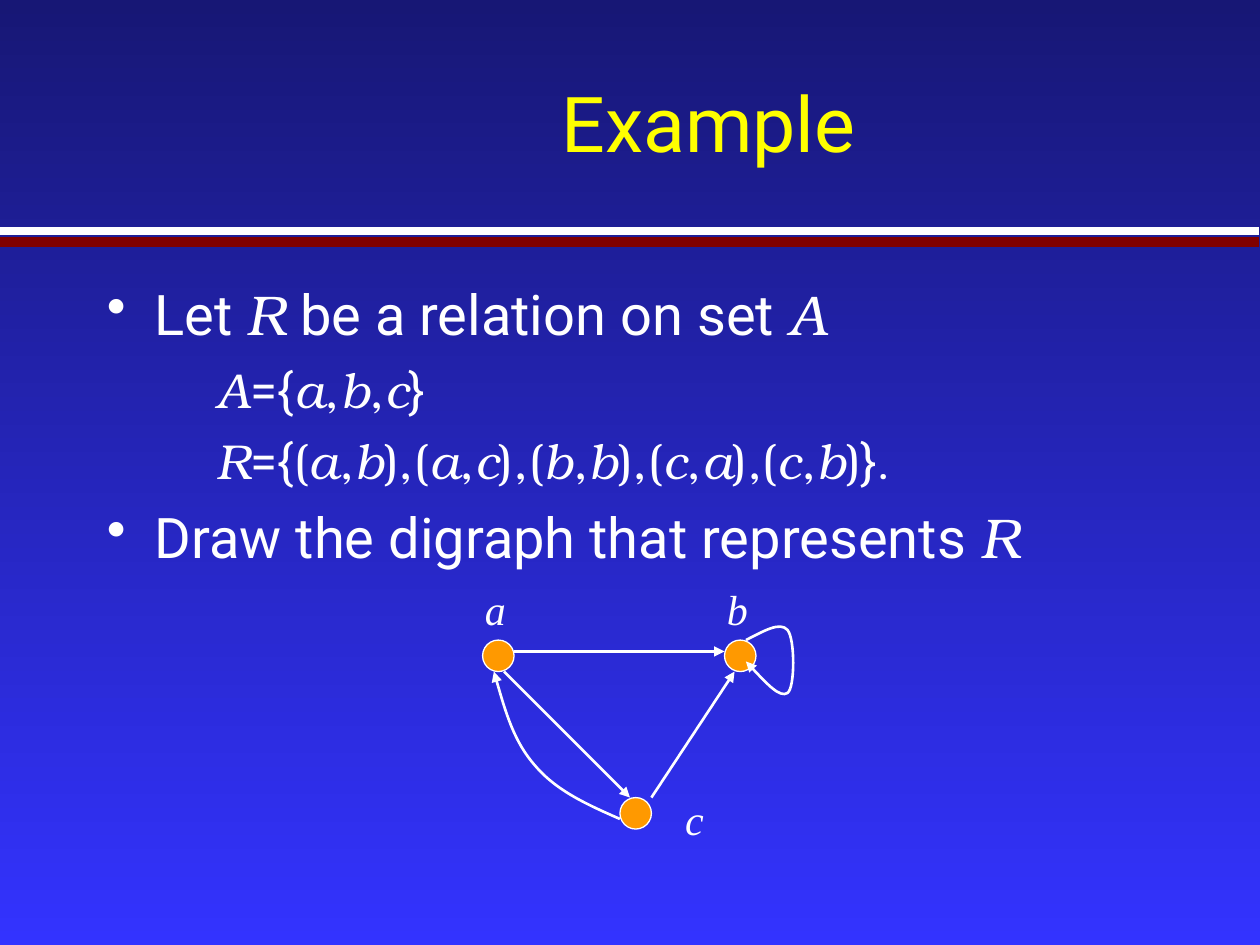
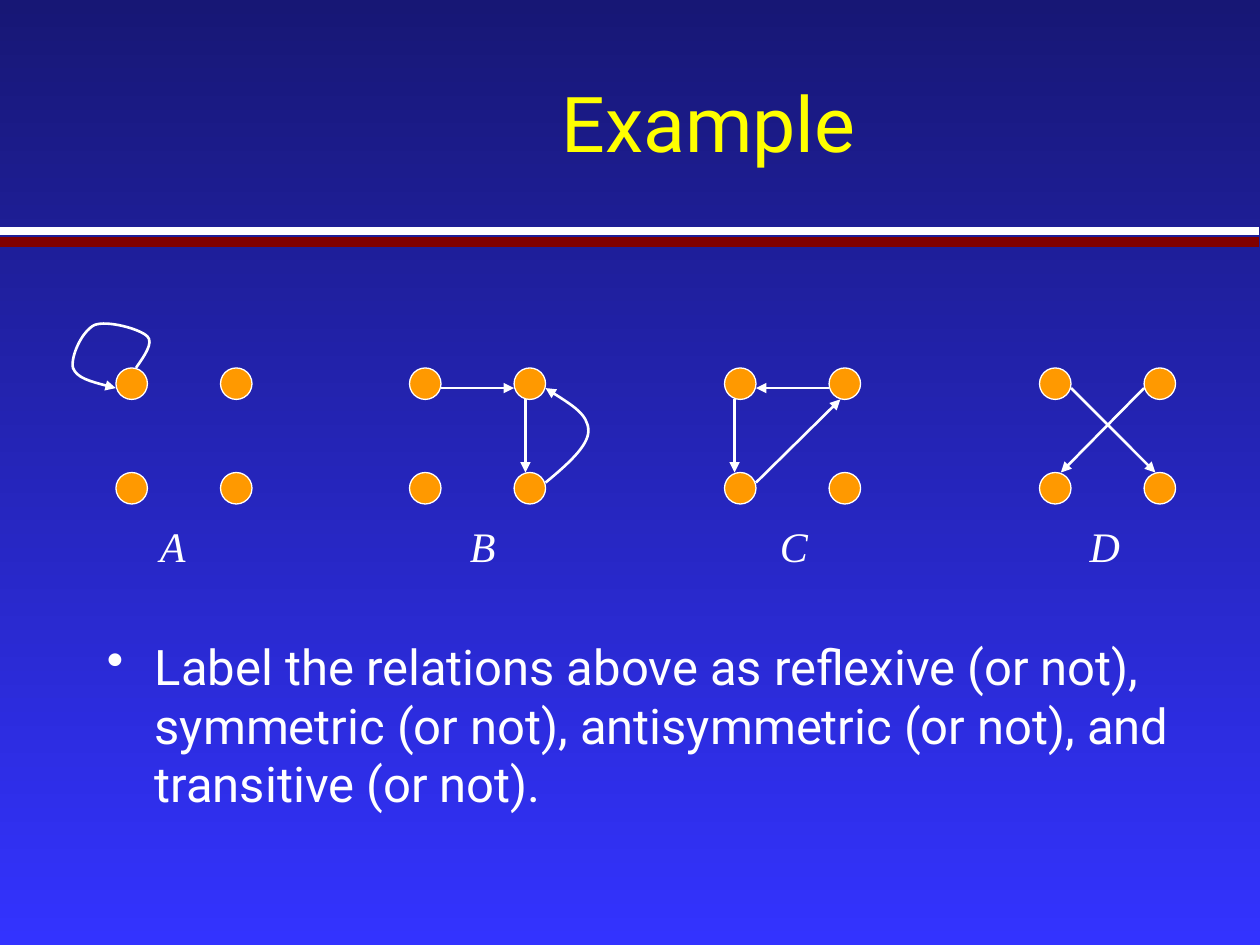
"""Build two slides about relations drawn as digraphs."""
from itertools import chain, groupby, product

from lxml.etree import SubElement
from pptx import Presentation
from pptx.dml.color import RGBColor
from pptx.enum.shapes import MSO_CONNECTOR, MSO_SHAPE
from pptx.enum.text import MSO_ANCHOR, MSO_AUTO_SIZE, PP_ALIGN
from pptx.oxml.ns import qn
from pptx.util import Inches, Pt

COLORS = {
    "top": "171775",
    "bottom": "3333FF",
    "white": "FFFFFF",
    "band": "800000",
    "title": "FFFF00",
    "node": "FF9900",
}
BODY_FONT = "Roboto"
MATH_FONT = "TeX Gyre Bonum"
LABEL_FONT = "Times New Roman"
NODE_SIZE = 0.25
NODE_GAP = 0.83


def color(name):
    return RGBColor.from_string(COLORS[name])


def plain(text):
    return [(text, BODY_FONT, False)]


def math(text):
    return [("".join(part), MATH_FONT, is_letter)
            for is_letter, part in groupby(text, str.isalpha)]


class Deck:
    def __init__(self):
        self.presentation = Presentation()
        self.presentation.slide_width = Inches(10)
        self.presentation.slide_height = Inches(7.5)
        self.slide = None

    def start_slide(self, title):
        layout = self.presentation.slide_layouts[6]
        self.slide = self.presentation.slides.add_slide(layout)
        fill = self.slide.background.fill
        fill.gradient()
        fill.gradient_angle = 270
        for stop, name in zip(fill.gradient_stops, ("top", "bottom")):
            stop.color.rgb = color(name)
        self.line((0, 1.83), (9.99, 1.83), "white", 4.5)
        self.line((0, 1.92), (9.99, 1.92), "band", 6)
        frame = self.text_box(2, 0.35, 7.25, 1.23)
        frame.vertical_anchor = MSO_ANCHOR.MIDDLE
        paragraph = frame.paragraphs[0]
        paragraph.alignment = PP_ALIGN.CENTER
        self.runs(paragraph, plain(title), 44, "title")

    def text_box(self, left, top, width, height):
        shape = self.slide.shapes.add_textbox(
            Inches(left), Inches(top), Inches(width), Inches(height))
        shape.text_frame.word_wrap = True
        return shape.text_frame

    def runs(self, paragraph, parts, size, color_name="white"):
        for text, font_name, italic in parts:
            run = paragraph.add_run()
            run.text = text
            run.font.name = font_name
            run.font.size = Pt(size)
            run.font.italic = italic
            run.font.color.rgb = color(color_name)

    def body(self, left, top, width, height, items):
        frame = self.text_box(left, top, width, height)
        for index, (bulleted, size, parts) in enumerate(items):
            paragraph = frame.add_paragraph() if index else frame.paragraphs[0]
            paragraph.space_before = Pt(size / 4)
            properties = paragraph._p.get_or_add_pPr()
            properties.set("marL", str(Inches(0.38 if bulleted else 0.87)))
            if bulleted:
                properties.set("indent", str(Inches(-0.38)))
                bullet_color = SubElement(properties, qn("a:buClr"))
                SubElement(bullet_color, qn("a:srgbClr"), val=COLORS["white"])
                SubElement(properties, qn("a:buChar"), char="•")
            self.runs(paragraph, parts, size)

    def label(self, text, left, top, width=0.36):
        frame = self.text_box(left, top, width, 0.5)
        frame.word_wrap = False
        frame.auto_size = MSO_AUTO_SIZE.SHAPE_TO_FIT_TEXT
        self.runs(frame.paragraphs[0], [(text, LABEL_FONT, True)], 24)

    def node(self, left, top):
        shape = self.slide.shapes.add_shape(
            MSO_SHAPE.OVAL, Inches(left), Inches(top), Inches(NODE_SIZE), Inches(NODE_SIZE))
        shape.shadow.inherit = False
        shape.fill.solid()
        shape.fill.fore_color.rgb = color("node")
        self.stroke(shape, "white", 0.75)

    def stroke(self, shape, color_name, width, arrow=False):
        shape.line.color.rgb = color(color_name)
        shape.line.width = Pt(width)
        if arrow:
            outline = shape.element.spPr.find(qn("a:ln"))
            SubElement(outline, qn("a:tailEnd"), type="triangle")

    def line(self, start, end, color_name="white", width=1.5, arrow=False):
        connector = self.slide.shapes.add_connector(
            MSO_CONNECTOR.STRAIGHT, *map(Inches, start + end))
        self.stroke(connector, color_name, width, arrow)
        SubElement(connector.element.spPr, qn("a:effectLst"))

    def arrow(self, start, end):
        self.line(start, end, arrow=True)

    def curved_arrow(self, start, *points):
        builder = self.slide.shapes.build_freeform(*map(Inches, start), scale=1)
        builder.add_line_segments(
            [(Inches(x), Inches(y)) for x, y in points], close=False)
        shape = builder.convert_to_shape()
        shape.shadow.inherit = False
        shape.fill.background()
        self.stroke(shape, "white", 1.5, arrow=True)
        segments = list(shape.element.iter(qn("a:lnTo")))
        outline = segments[0].getparent()
        for first in range(0, len(segments), 3):
            curve = SubElement(outline, qn("a:cubicBezTo"))
            for segment in segments[first:first + 3]:
                curve.append(segment[0])
                outline.remove(segment)


def build_digraph_slide(deck):
    deck.start_slide("Example")
    pairs = "(a,b),(a,c),(b,b),(c,a),(c,b)"
    set_a = chain(math("A"), plain("={"), math("a,b,c"), plain("}"))
    set_r = chain(math("R"), plain("={"), math(pairs), plain("}."))
    relation = chain(plain("Let "), math("R"), plain(" be a relation on set "), math("A"))
    task = chain(plain("Draw the digraph that represents "), math("R"))
    deck.body(0.75, 2.17, 8.5, 2.5, [
        (True, 32, relation),
        (False, 28, set_a),
        (False, 28, set_r),
        (True, 32, task),
    ])
    for left, top in ((3.83, 5.08), (4.92, 6.33), (5.75, 5.08)):
        deck.node(left, top)
    for text, left, top in (("a", 3.75, 4.58), ("b", 5.67, 4.58), ("c", 5.34, 6.25)):
        deck.label(text, left, top)
    deck.arrow((4.08, 5.17), (5.75, 5.17))
    deck.arrow((4, 5.33), (5, 6.33))
    deck.curved_arrow(
        (5.92, 5.08), (6.06, 5.01), (6.19, 4.93), (6.25, 5),
        (6.31, 5.07), (6.31, 5.46), (6.25, 5.5),
        (6.19, 5.54), (6.06, 5.4), (5.92, 5.25))
    deck.curved_arrow(
        (4.92, 6.5), (4.67, 6.39), (4.42, 6.28), (4.25, 6.08),
        (4.08, 5.89), (4, 5.61), (3.92, 5.33))
    deck.arrow((5.17, 6.33), (5.83, 5.33))


def build_properties_slide(deck):
    deck.start_slide("Example")
    question = ("Label the relations above as reflexive (or not), symmetric (or not), "
                "antisymmetric (or not), and transitive (or not).")
    deck.body(0.75, 5, 8.83, 1.92, [(True, 28, plain(question))])
    for index, (name, left) in enumerate(zip("ABCD", (0.92, 3.25, 5.75, 8.25))):
        for column, row in product(range(2), repeat=2):
            deck.node(left + column * NODE_GAP, 2.92 + row * NODE_GAP)
        deck.label(name, 1.17 + index * 2.46, 4.08, 0.41)
    deck.curved_arrow(
        (1.08, 2.92), (1.15, 2.82), (1.22, 2.72), (1.17, 2.67),
        (1.11, 2.61), (0.85, 2.54), (0.75, 2.58),
        (0.65, 2.63), (0.56, 2.83), (0.58, 2.92),
        (0.61, 3), (0.76, 3.04), (0.92, 3.08))
    deck.curved_arrow(
        (4.33, 3.83), (4.5, 3.69), (4.67, 3.54), (4.67, 3.42),
        (4.67, 3.29), (4.5, 3.19), (4.33, 3.08))
    for start, end in (
        ((3.5, 3.08), (4.08, 3.08)),
        ((4.17, 3.17), (4.17, 3.75)),
        ((6.58, 3.08), (6, 3.08)),
        ((5.83, 3.17), (5.83, 3.75)),
        ((6, 3.83), (6.67, 3.17)),
        ((8.5, 3.08), (9.17, 3.75)),
        ((9.08, 3.08), (8.42, 3.75)),
    ):
        deck.arrow(start, end)


def main():
    deck = Deck()
    build_digraph_slide(deck)
    build_properties_slide(deck)
    deck.presentation.save("out.pptx")


if __name__ == "__main__":
    main()
